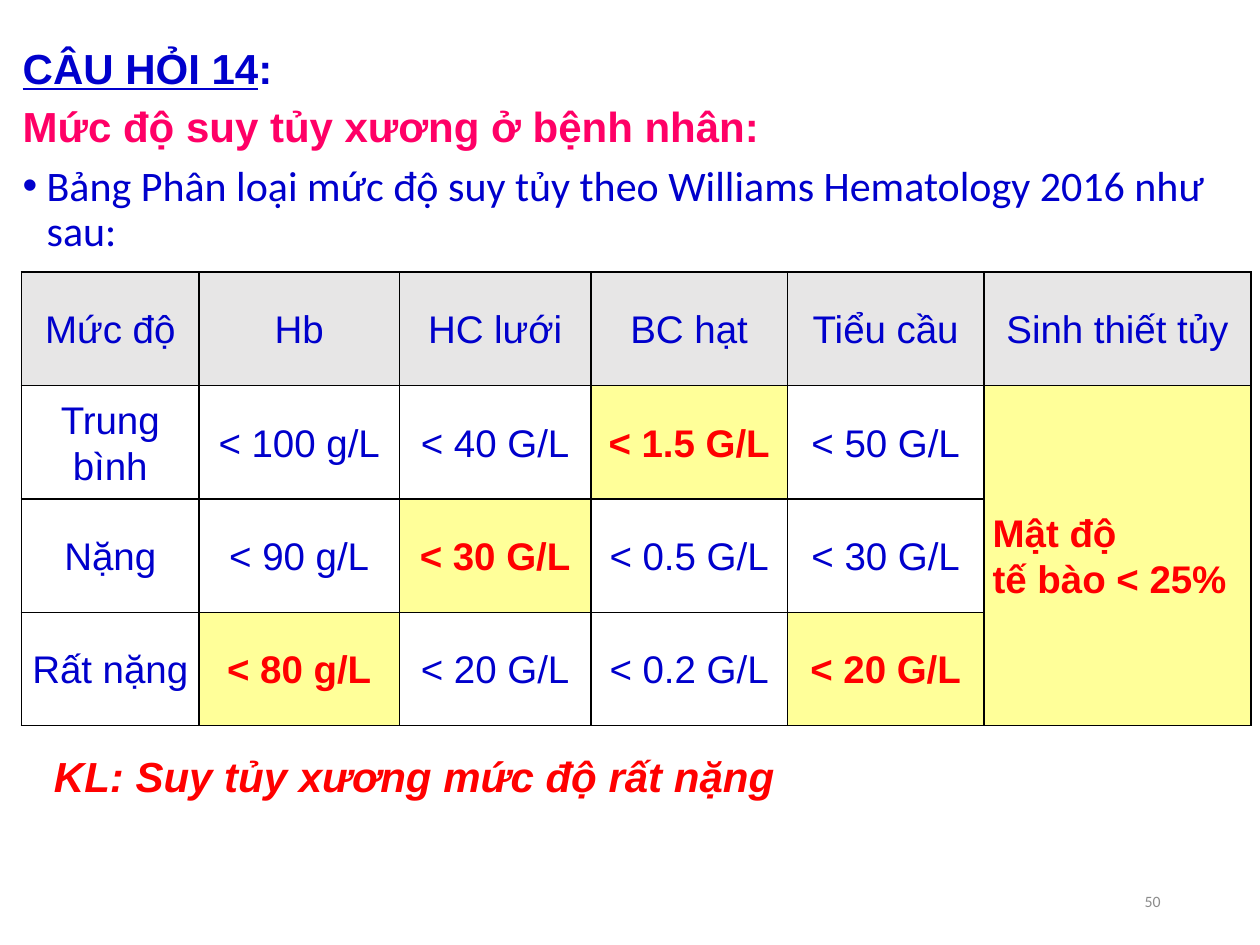
import dataclasses
import typing

import lxml.etree
import pptx
import pptx.dml.color
import pptx.enum.text
import pptx.oxml.ns
import pptx.util

Inches = pptx.util.Inches
Align = pptx.enum.text.PP_ALIGN
Anchor = pptx.enum.text.MSO_ANCHOR
AutoSize = pptx.enum.text.MSO_AUTO_SIZE

BLUE = "0000CC"
RED = "FF0000"
PINK = "FF0066"
GREY = "8C8C8C"
BLACK = "000000"
WHITE = "FFFFFF"
HEADER_FILL = "E7E6E6"
MARK_FILL = "FFFF99"


@dataclasses.dataclass
class Span:
    text: str
    color: str = BLUE
    size: float = 24
    name: str = "Arial"
    bold: bool = False
    italic: bool = False
    underline: bool = False


@dataclasses.dataclass
class Para:
    spans: list[Span]
    bullet: bool = False
    format: dict[str, typing.Any] = dataclasses.field(default_factory=dict)


@dataclasses.dataclass
class Box:
    left: float
    top: float
    width: float
    height: float


COLUMNS = [1.41, 1.59, 1.52, 1.56, 1.56, 2.12]
ROW_HEIGHT = 0.9
ROWS = [
    ["Mức độ", "Hb", "HC lưới", "BC hạt", "Tiểu cầu", "Sinh thiết tủy"],
    ["Trung bình", "< 100 g/L", "< 40 G/L", "< 1.5 G/L", "< 50 G/L", "Mật độ\ntế bào < 25%"],
    ["Nặng", "< 90 g/L", "< 30 G/L", "< 0.5 G/L", "< 30 G/L", ""],
    ["Rất nặng", "< 80 g/L", "< 20 G/L", "< 0.2 G/L", "< 20 G/L", ""],
]
BIOPSY = (1, 5)
MARKED = {(1, 3), (2, 2), (3, 1), (3, 4), BIOPSY}


def rgb(value: str) -> pptx.dml.color.RGBColor:
    return pptx.dml.color.RGBColor.from_string(value)


def apply(target: typing.Any, values: dict[str, typing.Any]) -> None:
    for key, value in values.items():
        setattr(target, key, value)


def add_child(parent: typing.Any, tag: str, **attributes: str) -> typing.Any:
    return lxml.etree.SubElement(parent, pptx.oxml.ns.qn(tag), attributes)


def set_bullet(para: typing.Any, bullet: bool) -> None:
    indent = Inches(0.19) if bullet else 0
    properties = para._p.get_or_add_pPr()
    properties.set("marL", str(indent))
    properties.set("indent", str(-indent))
    if bullet:
        add_child(properties, "a:buFont", typeface="Arial")
        add_child(properties, "a:buChar", char="•")
    else:
        add_child(properties, "a:buNone")


def write(frame: typing.Any, paras: list[Para]) -> None:
    for index, content in enumerate(paras):
        para = frame.paragraphs[0] if index == 0 else frame.add_paragraph()
        set_bullet(para, content.bullet)
        apply(para, {"space_before": pptx.util.Pt(7.5 if index else 0), **content.format})
        for part in content.spans:
            span = para.add_run()
            span.text = part.text
            apply(span.font, {
                "size": pptx.util.Pt(part.size),
                "name": part.name,
                "bold": part.bold,
                "italic": part.italic,
                "underline": part.underline,
            })
            span.font.color.rgb = rgb(part.color)


def add_text(slide: typing.Any, box: Box, para: Para, **frame_format: typing.Any) -> None:
    shape = slide.shapes.add_textbox(*map(Inches, dataclasses.astuple(box)))
    apply(shape.text_frame, frame_format)
    write(shape.text_frame, [para])


def add_borders(cell: typing.Any) -> None:
    properties = cell._tc.get_or_add_tcPr()
    for side in ("a:lnL", "a:lnR", "a:lnT", "a:lnB"):
        line = add_child(properties, side, w=str(pptx.util.Pt(1)))
        add_child(add_child(line, "a:solidFill"), "a:srgbClr", val=BLACK)


def fill_cell(cell: typing.Any, row: int, column: int, text: str) -> None:
    marked = (row, column) in MARKED
    add_borders(cell)
    cell.fill.solid()
    cell.fill.fore_color.rgb = rgb(MARK_FILL if marked else WHITE if row else HEADER_FILL)
    apply(cell, {
        "vertical_anchor": Anchor.MIDDLE,
        "margin_left": Inches(0.07),
        "margin_right": Inches(0.07),
        "margin_top": 0,
        "margin_bottom": 0,
    })
    format = {
        "alignment": Align.JUSTIFY if (row, column) == BIOPSY else Align.CENTER,
        "line_spacing": 1.07,
        "space_before": 0,
    }
    color = RED if marked else BLUE
    if text:
        write(cell.text_frame, [
            Para([Span(line, color, 22, bold=marked)], format=format)
            for line in text.split("\n")
        ])


def add_severity_table(slide: typing.Any) -> None:
    box = Box(0.17, 2.16, sum(COLUMNS), ROW_HEIGHT * len(ROWS))
    table = slide.shapes.add_table(
        len(ROWS), len(COLUMNS), *map(Inches, dataclasses.astuple(box))
    ).table
    apply(table, {"first_row": False, "horz_banding": False})
    for column, width in zip(table.columns, COLUMNS):
        column.width = Inches(width)
    for row, texts in enumerate(ROWS):
        table.rows[row].height = Inches(ROW_HEIGHT)
        for column, text in enumerate(texts):
            fill_cell(table.cell(row, column), row, column, text)
    table.cell(*BIOPSY).merge(table.cell(len(ROWS) - 1, BIOPSY[1]))


def add_question(slide: typing.Any) -> None:
    body = slide.placeholders[1]
    apply(body, {
        "left": Inches(0.08),
        "top": Inches(0.33),
        "width": Inches(9.75),
        "height": Inches(6.83),
    })
    apply(body.text_frame, {"auto_size": AutoSize.NONE, "vertical_anchor": Anchor.TOP})
    tight = {"line_spacing": 0.9, "alignment": Align.LEFT}
    write(body.text_frame, [
        Para(
            [Span("CÂU HỎI 14", bold=True, underline=True), Span(":", bold=True)],
            format={**tight, "alignment": Align.JUSTIFY},
        ),
        Para([Span("Mức độ suy tủy xương ở bệnh nhân:", PINK, bold=True)], format=tight),
        Para(
            [Span("Bảng Phân loại mức độ suy tủy theo Williams Hematology 2016 như sau:", name="Calibri")],
            bullet=True,
            format=tight,
        ),
    ])


def main() -> None:
    deck = pptx.Presentation()
    apply(deck, {"slide_width": Inches(10), "slide_height": Inches(7.5)})
    slide = deck.slides.add_slide(deck.slide_layouts[1])
    title = slide.shapes.title._element
    title.getparent().remove(title)
    add_question(slide)
    add_text(
        slide, Box(7.06, 6.95, 2.25, 0.4),
        Para([Span("50", GREY, 9, "Calibri")], format={"alignment": Align.RIGHT}),
        word_wrap=True, vertical_anchor=Anchor.MIDDLE,
    )
    add_severity_table(slide)
    add_text(
        slide, Box(0.33, 5.95, 5.99, 0.46),
        Para(
            [Span("KL: Suy tủy xương mức độ rất nặng", RED, bold=True, italic=True)],
            format={"line_spacing": 0.9},
        ),
        word_wrap=False, auto_size=AutoSize.SHAPE_TO_FIT_TEXT,
    )
    deck.save("out.pptx")


if __name__ == "__main__":
    main()
